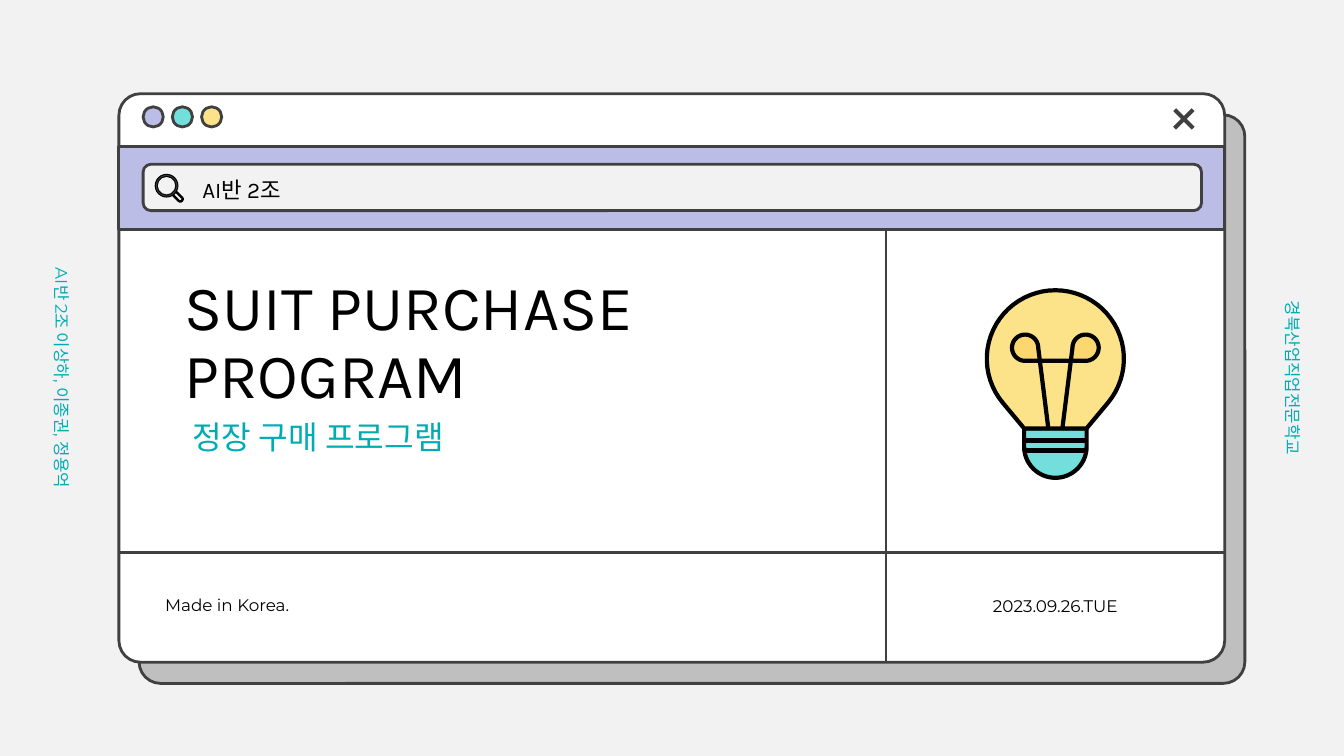
import math
from dataclasses import dataclass

import pptx
import pptx.util
from pptx.dml.color import RGBColor
from pptx.enum.shapes import MSO_CONNECTOR, MSO_SHAPE
from pptx.enum.text import MSO_ANCHOR, MSO_AUTO_SIZE, PP_ALIGN
from pptx.oxml.ns import qn

PAPER = RGBColor(0xF2, 0xF2, 0xF2)
WHITE = RGBColor(0xFF, 0xFF, 0xFF)
BLACK = RGBColor(0x00, 0x00, 0x00)
INK = RGBColor(0x40, 0x40, 0x40)
SHADE = RGBColor(0xBF, 0xBF, 0xBF)
LILAC = RGBColor(0xBC, 0xBD, 0xE6)
AQUA = RGBColor(0x73, 0xDF, 0xDC)
YELLOW = RGBColor(0xFC, 0xE3, 0x8A)
AMBER = RGBColor(0xFC, 0xD7, 0x70)
TEAL = RGBColor(0x00, 0xAC, 0xB4)

CELL = pptx.util.Inches(0.1)
COLUMNS, ROWS = 133.33, 75


@dataclass
class Box:
    left: float
    top: float
    width: float
    height: float

    def inner(self, left, top, width, height):
        return Box(self.left + left, self.top + top, width, height)

    def emu(self):
        return [round(n * CELL) for n in (self.left, self.top, self.width, self.height)]


def paint(shape, fill, line=None, weight=2):
    shape.shadow.inherit = False
    if fill is None:
        shape.fill.background()
    else:
        shape.fill.solid()
        shape.fill.fore_color.rgb = fill
    if line is None:
        shape.line.fill.background()
    else:
        shape.line.color.rgb = line
        shape.line.width = pptx.util.Pt(weight)


def add_preset(page, kind, box, fill, line=INK, weight=2, corner=None, turn=0):
    shape = page.shapes.add_shape(kind, *box.emu())
    if corner is not None:
        shape.adjustments[0] = corner
    shape.rotation = turn
    paint(shape, fill, line, weight)


def add_rule(page, box, color=INK, weight=2):
    left, top, width, height = box.emu()
    rule = page.shapes.add_connector(
        MSO_CONNECTOR.STRAIGHT, left, top, left + width, top + height)
    rule.line.color.rgb = color
    rule.line.width = pptx.util.Pt(weight)
    properties = rule._element.spPr
    properties.append(properties.makeelement(qn("a:effectLst"), {}))


def add_outline(page, box, points, fill, line=None, weight=3, close=True):
    spots = [((box.left + x) * CELL, (box.top + y) * CELL) for x, y in points]
    builder = page.shapes.build_freeform(*spots[0])
    builder.add_line_segments(spots[1:], close=close)
    paint(builder.convert_to_shape(), fill, line, weight)


def arc(x, y, radius, start, end):
    steps = 48
    angles = [math.radians(start + (end - start) * n / steps) for n in range(steps + 1)]
    return [(x + radius * math.cos(a), y + radius * math.sin(a)) for a in angles]


def write(frame, lines, size, font, color, align=PP_ALIGN.LEFT):
    frame.word_wrap = True
    frame.text = "\n".join(lines)
    for para in frame.paragraphs:
        para.alignment = align
        para.font.size = pptx.util.Pt(size)
        para.font.name = font
        para.font.color.rgb = color


def add_text(page, box, text, size, font, color=BLACK, align=PP_ALIGN.LEFT, turn=0):
    label = page.shapes.add_textbox(*box.emu())
    label.rotation = turn
    write(label.text_frame, [text], size, font, color, align)


def draw_window(page, box):
    for offset, fill in ((2, SHADE), (0, WHITE)):
        panel = box.inner(offset, offset * 1.05, box.width, box.height)
        add_preset(page, MSO_SHAPE.ROUNDED_RECTANGLE, panel, fill, corner=0.038)
    for index, fill in enumerate((LILAC, AQUA, YELLOW)):
        add_preset(page, MSO_SHAPE.OVAL, box.inner(2.4 + 2.9 * index, 1.3, 2, 2), fill)
    for turn in (45, -45):
        add_preset(page, MSO_SHAPE.RECTANGLE, box.inner(box.width - 5.35, 2.3, 2.6, 0.4),
                   INK, line=None, turn=turn)
    add_rule(page, box.inner(0, 45.5, box.width, 0))
    add_rule(page, box.inner(76.1, 13.4, 0, 43))


def draw_search_bar(page, box):
    add_preset(page, MSO_SHAPE.RECTANGLE, box, LILAC)
    add_preset(page, MSO_SHAPE.ROUNDED_RECTANGLE,
               box.inner(2.4, 1.8, box.width - 4.7, 4.6), PAPER, corner=0.167)
    add_preset(page, MSO_SHAPE.ROUNDED_RECTANGLE, box.inner(5.3, 4.8, 1.1, 0.45),
               PAPER, BLACK, 1.75, corner=0.4, turn=45)
    add_preset(page, MSO_SHAPE.DONUT, box.inner(3.6, 2.8, 2.25, 2.25),
               INK, BLACK, 0.75, corner=0.09)
    add_text(page, box.inner(7.3, 2.5, 88.5, 3.7), "AI반 2조", 16, "Karla")


def draw_headline(page, box):
    title = page.shapes.title
    page.shapes.element.append(title.element)
    title.left, title.top, title.width, title.height = box.inner(0, 0, 109.9, 10.6).emu()
    frame = title.text_frame
    write(frame, ["SUIT PURCHASE", "PROGRAM"], 45, "Karla", BLACK)
    frame.auto_size = MSO_AUTO_SIZE.NONE
    frame.vertical_anchor = MSO_ANCHOR.TOP
    for para in frame.paragraphs:
        para.line_spacing = 0.9
        para.space_before = pptx.util.Pt(0)
    add_text(page, box.inner(0.8, 14, 30.8, 4.8), "정장 구매 프로그램", 23, "Karla", TEAL)


def draw_footer(page, box):
    add_text(page, box.inner(3.6, 3.7, 48.1, 2.9), "Made in Korea.", 12, "Montserrat")
    add_text(page, box.inner(76.1, 3.8, 33.6, 3), "2023.09.26.TUE", 12, "Montserrat",
             align=PP_ALIGN.CENTER)


def draw_side_notes(page, box):
    for center, text in ((6.15, "AI반 2조 이상하, 이종권, 정용억"),
                         (128.25, "경북산업직업전문학교")):
        add_text(page, box.inner(center - 24.05, 36, 48.1, 3), text, 12, "Montserrat",
                 TEAL, PP_ALIGN.CENTER, turn=90)


def draw_bulb(page, box):
    middle = box.width / 2
    neck_left, neck_right, neck = middle - 3.1, middle + 3.1, 13.7

    def mirror(points):
        return [(box.width - x, y) for x, y in reversed(points)]

    base = [(neck_left, neck), (neck_right, neck)] + arc(middle, 15.5, 3.1, 0, 180)
    glass = arc(middle, 6.8, 6.8, 140, 400) + [(neck_right, neck), (neck_left, neck)]
    loop = arc(3.8, 5.7, 1.3, 360, 90)
    filament = [(6.1, neck)] + loop
    add_outline(page, box, base, AQUA, BLACK)
    add_outline(page, box, glass, YELLOW, BLACK)
    for points in (loop, mirror(loop)):
        corner = (5.2 if points is loop else box.width - 5.2, 7)
        add_outline(page, box, points + [corner], AMBER)
    add_outline(page, box, filament + mirror(filament), None, BLACK, close=False)
    for row in (14.9, 15.9):
        add_rule(page, box.inner(neck_left, row, 6.2, 0), BLACK, 3)


def main():
    deck = pptx.Presentation()
    deck.slide_width, deck.slide_height = round(COLUMNS * CELL), ROWS * CELL
    page = deck.slides.add_slide(deck.slide_layouts[5])
    page.background.fill.solid()
    page.background.fill.fore_color.rgb = PAPER
    window = Box(11.8, 9.3, 109.7, 56.4)
    draw_window(page, window)
    draw_search_bar(page, window.inner(0, 5.2, window.width, 8.3))
    draw_headline(page, window.inner(5.5, 17.6, 70, 28))
    draw_footer(page, window.inner(0, 45.5, window.width, 10.9))
    draw_side_notes(page, Box(0, 0, COLUMNS, ROWS))
    draw_bulb(page, window.inner(86.1, 19.5, 13.6, 18.6))
    deck.save("out.pptx")


if __name__ == "__main__":
    main()
